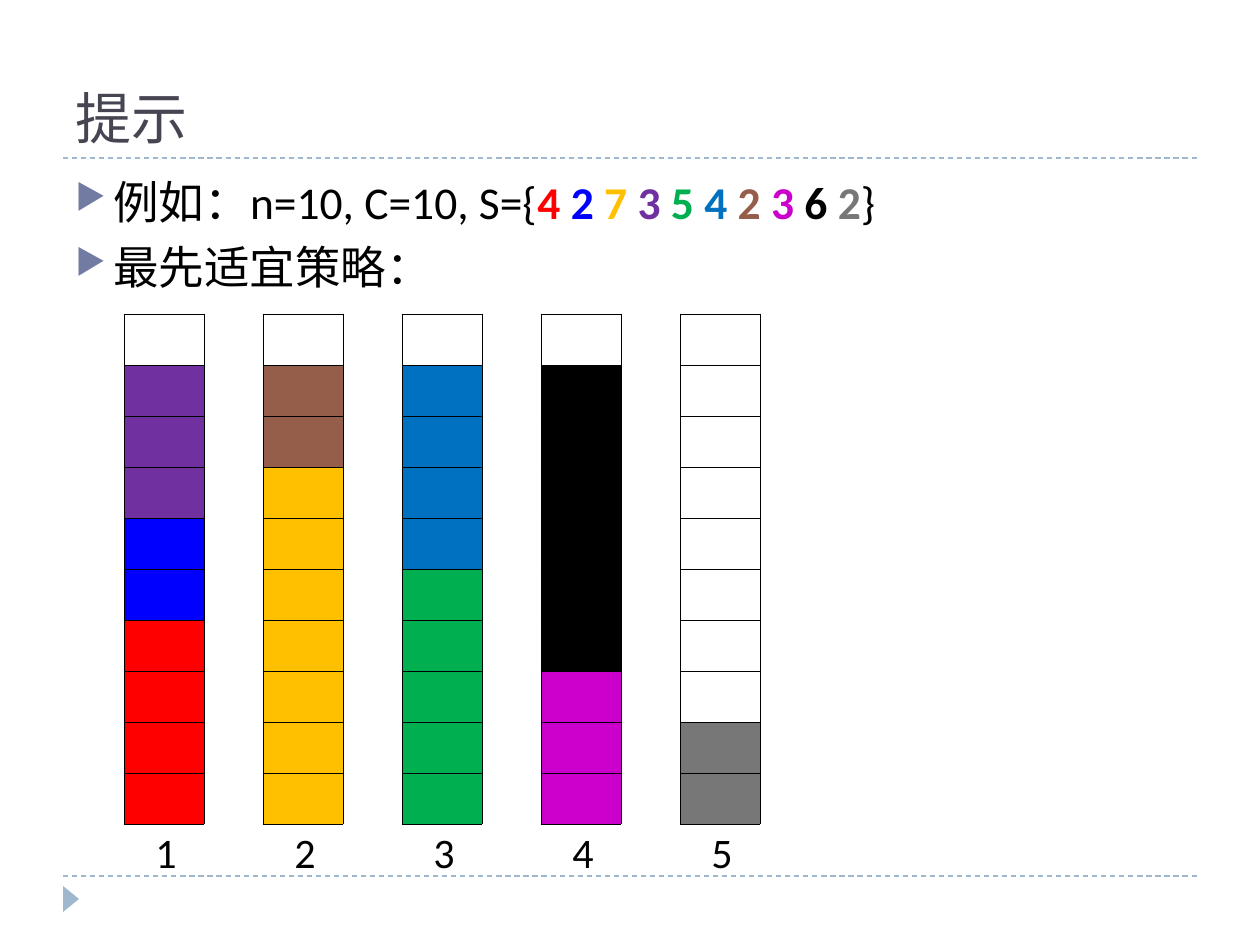
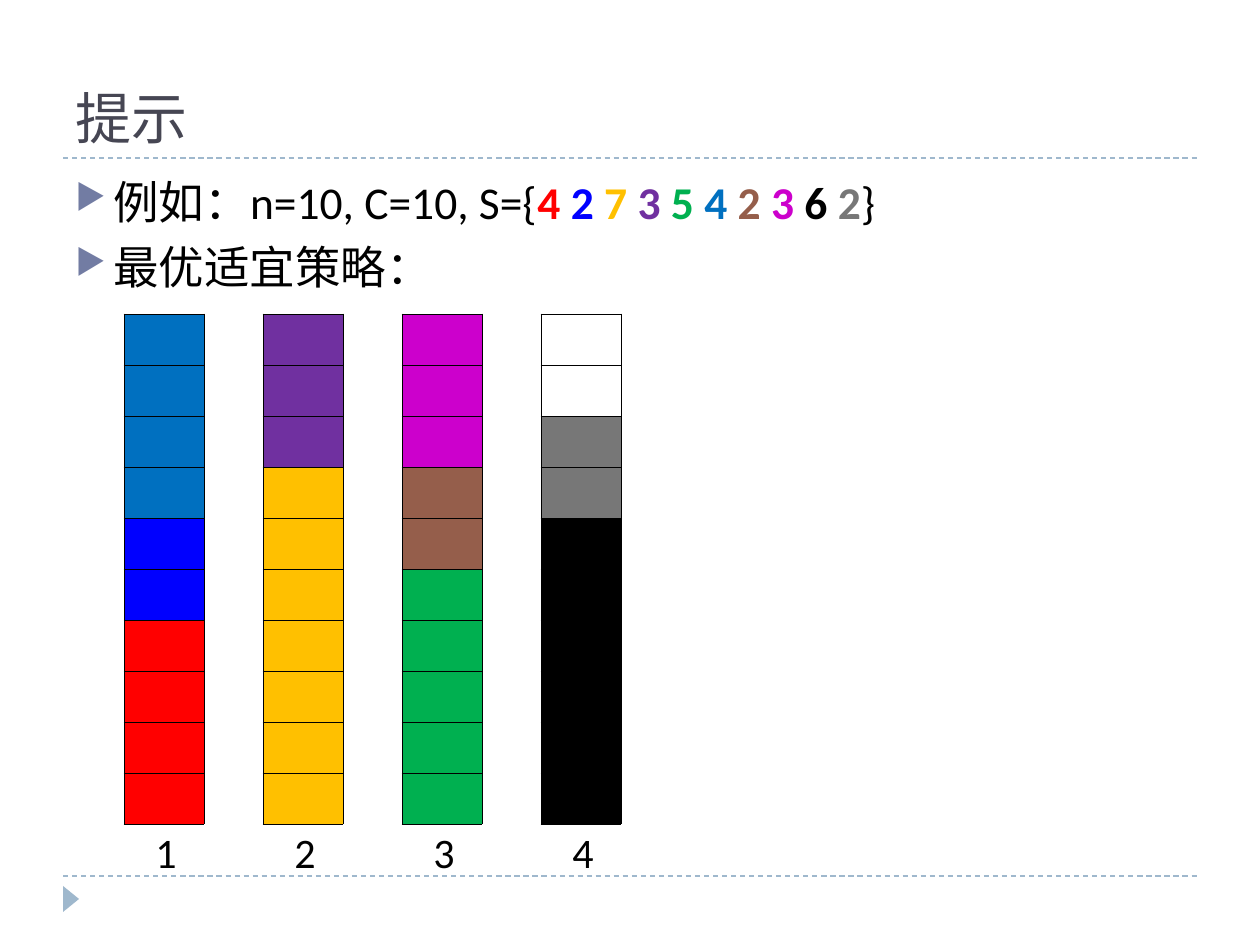
from lxml.etree import SubElement
from pptx import Presentation
from pptx.dml.color import RGBColor
from pptx.enum.dml import MSO_LINE
from pptx.enum.shapes import MSO_CONNECTOR, MSO_SHAPE
from pptx.enum.text import MSO_ANCHOR, MSO_AUTO_SIZE, PP_ALIGN
from pptx.oxml.ns import qn
from pptx.util import Emu, Pt

# Colours
BLACK = RGBColor(0x00, 0x00, 0x00)
TITLE_INK = RGBColor(0x46, 0x46, 0x53)
RULE = RGBColor(0x9F, 0xB8, 0xCD)
BULLET = RGBColor(0x72, 0x7C, 0xA3)
RED = RGBColor(0xFF, 0x00, 0x00)
BLUE = RGBColor(0x00, 0x00, 0xFF)
GOLD = RGBColor(0xFF, 0xC0, 0x00)
PURPLE = RGBColor(0x70, 0x30, 0xA0)
GREEN = RGBColor(0x00, 0xB0, 0x50)
AZURE = RGBColor(0x00, 0x70, 0xC0)
BROWN = RGBColor(0x95, 0x5E, 0x4B)
MAGENTA = RGBColor(0xCC, 0x00, 0xCC)
GREY = RGBColor(0x77, 0x77, 0x77)

# The packing example: sizes with their colours
CAPACITY = 10
ITEMS = [(4, RED), (2, BLUE), (7, GOLD), (3, PURPLE), (5, GREEN),
         (4, AZURE), (2, BROWN), (3, MAGENTA), (6, BLACK), (2, GREY)]

# Bin grid, in px
BIN_LEFT, BIN_TOP, BIN_STEP = 124, 314, 139
BIN_WIDTH, UNIT_HEIGHT = 80, 51


def px(length):
    """Turn px (126 to the inch) into EMU."""
    return Emu(round(length * 914400 / 126))


def add_text(para, text, size=26, font="Calibri", color=BLACK, bold=False):
    span = para.add_run()
    span.text = text
    span.font.size = Pt(size)
    span.font.name = font
    span.font.bold = bold
    span.font.color.rgb = color


def first_fit(open_bins):
    return open_bins[0]


def best_fit(open_bins):
    return max(open_bins, key=len)


def pack(strategy):
    """Return the bins, each a list of unit colours from the bottom up."""
    bins = []
    for size, color in ITEMS:
        open_bins = [units for units in bins if len(units) + size <= CAPACITY]
        if open_bins:
            target = strategy(open_bins)
        else:
            target = []
            bins.append(target)
        target.extend([color] * size)
    return bins


class SlideBuilder:
    def __init__(self):
        self.deck = Presentation()
        self.deck.slide_width = px(1260)
        self.deck.slide_height = px(945)
        self.page = None

    def new_page(self, title):
        self.page = self.deck.slides.add_slide(self.deck.slide_layouts[5])
        self.rule(876)
        self.rule(158)
        self.footer_mark()
        self.title(title)

    def rule(self, y):
        line = self.page.shapes.add_connector(
            MSO_CONNECTOR.STRAIGHT, px(63), px(y), px(1197), px(y))
        line.line.color.rgb = RULE
        line.line.width = Pt(0.75)
        line.line.dash_style = MSO_LINE.DASH
        SubElement(line._element.spPr, qn("a:effectLst"))

    def footer_mark(self):
        mark = self.page.shapes.add_shape(
            MSO_SHAPE.ISOSCELES_TRIANGLE, px(58), px(891), px(26), px(16))
        mark.rotation = 90
        mark.shadow.inherit = False
        mark.fill.solid()
        mark.fill.fore_color.rgb = RULE
        mark.line.fill.background()

    def title(self, text):
        box = self.page.shapes.title
        box.left, box.top, box.width, box.height = px(63), px(21), px(1134), px(136)
        box.text_frame.vertical_anchor = MSO_ANCHOR.BOTTOM
        box.text_frame.auto_size = MSO_AUTO_SIZE.NONE
        para = box.text_frame.paragraphs[0]
        para.alignment = PP_ALIGN.LEFT
        add_text(para, text, size=32, font="TeX Gyre Bonum", color=TITLE_INK)

    def bullet(self, para):
        para.space_before = Pt(6)
        props = para._p.get_or_add_pPr()
        props.set("marL", str(px(38)))
        props.set("indent", str(-px(38)))
        color = SubElement(props, qn("a:buClr"))
        SubElement(color, qn("a:srgbClr"), val=str(BULLET))
        SubElement(props, qn("a:buSzPct"), val="76000")
        SubElement(props, qn("a:buChar"), char="▶")

    def body(self, strategy_name):
        box = self.page.shapes.add_textbox(px(63), px(168), px(1134), px(680))
        frame = box.text_frame
        frame.word_wrap = True
        example, strategy = frame.paragraphs[0], frame.add_paragraph()
        self.bullet(example)
        self.bullet(strategy)
        add_text(example, f"例如：n={len(ITEMS)}, C={CAPACITY}, S={{")
        for index, (size, color) in enumerate(ITEMS, 1):
            gap = " " if index < len(ITEMS) else ""
            add_text(example, f"{size}{gap}", color=color, bold=True)
        add_text(example, "}")
        add_text(strategy, f"{strategy_name}：")

    def cell(self, cell, color):
        cell.margin_top = cell.margin_bottom = 0
        props = cell._tc.get_or_add_tcPr()
        for side in ("lnL", "lnR", "lnT", "lnB"):
            border = SubElement(props, qn(f"a:{side}"), w=str(Pt(0.45)))
            fill = SubElement(border, qn("a:solidFill"))
            SubElement(fill, qn("a:srgbClr"), val=str(BLACK))
        if color is None:
            cell.fill.background()
        else:
            cell.fill.solid()
            cell.fill.fore_color.rgb = color

    def bin(self, number, units):
        left = BIN_LEFT + (number - 1) * BIN_STEP
        table = self.page.shapes.add_table(
            CAPACITY, 1, px(left), px(BIN_TOP),
            px(BIN_WIDTH), px(CAPACITY * UNIT_HEIGHT)).table
        table.first_row = table.horz_banding = False
        empty = [None] * (CAPACITY - len(units))
        for row, color in enumerate(empty + units[::-1]):
            table.rows[row].height = px(UNIT_HEIGHT)
            self.cell(table.cell(row, 0), color)
        self.label(left + 19, str(number))

    def label(self, left, text):
        box = self.page.shapes.add_textbox(px(left), px(820), px(47), px(63))
        box.text_frame.word_wrap = False
        box.text_frame.auto_size = MSO_AUTO_SIZE.SHAPE_TO_FIT_TEXT
        add_text(box.text_frame.paragraphs[0], text, size=24)


def main():
    builder = SlideBuilder()
    for name, strategy in (("最先适宜策略", first_fit), ("最优适宜策略", best_fit)):
        builder.new_page("提示")
        builder.body(name)
        for number, units in enumerate(pack(strategy), 1):
            builder.bin(number, units)
    builder.deck.save("out.pptx")


if __name__ == "__main__":
    main()
